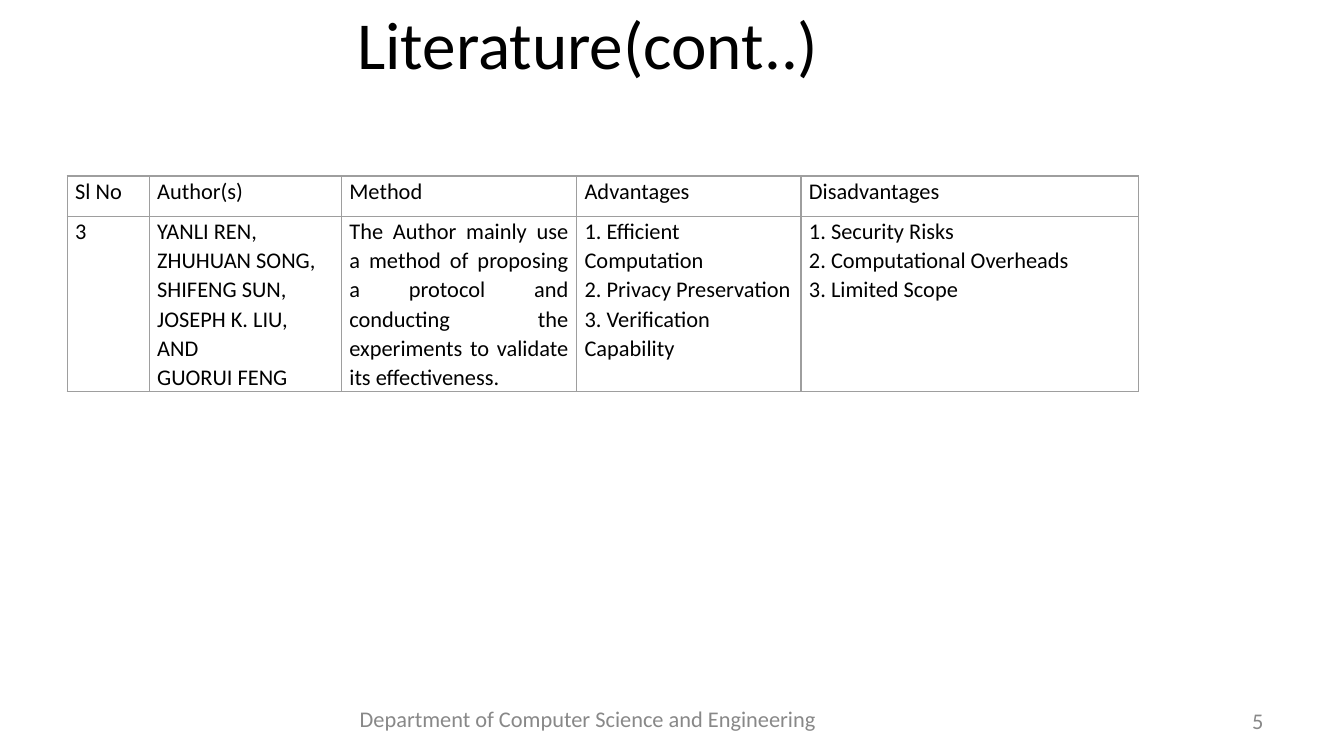
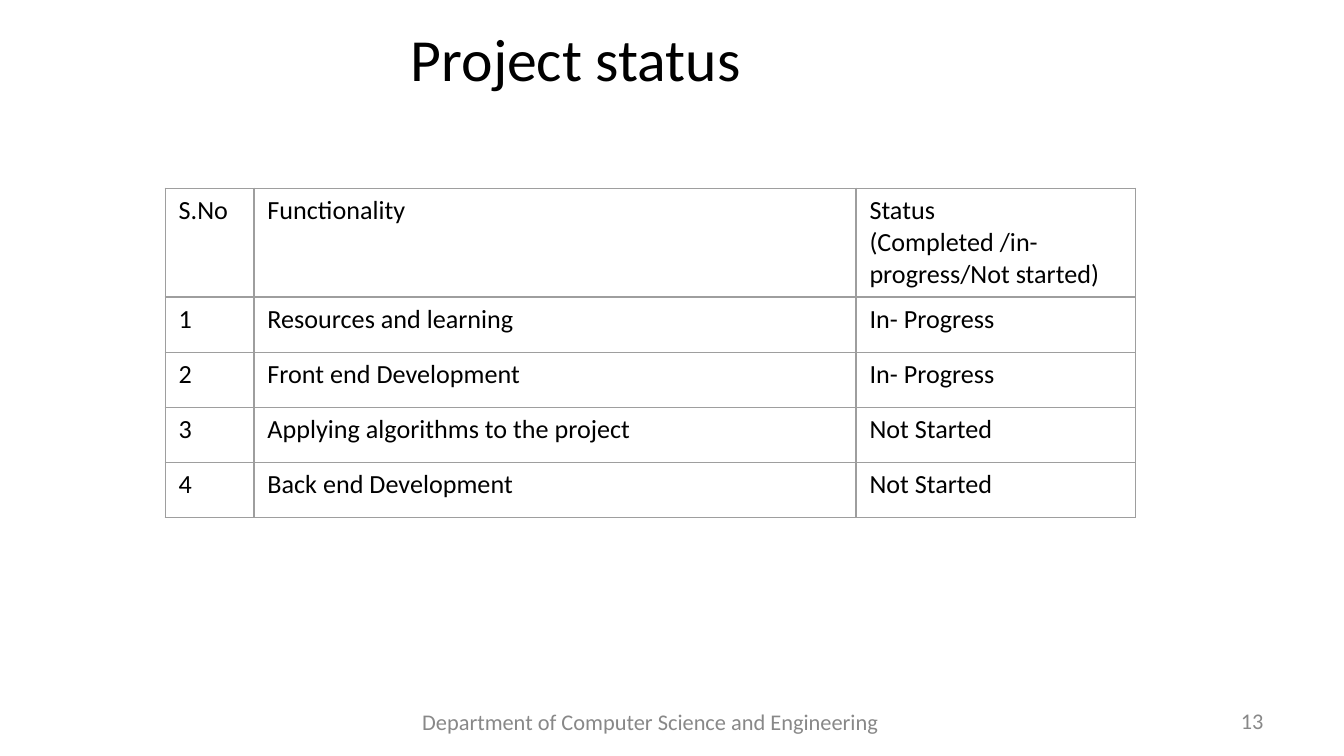
from lxml import etree
from pptx import Presentation
from pptx.dml.color import RGBColor
from pptx.enum import text
from pptx.oxml import ns
from pptx.util import Inches, Pt

FONT = "Calibri"
BLACK, GREY, BORDER = "000000", "888888", "9E9E9E"
LEFT, CENTER, RIGHT, JUSTIFY = (
    text.PP_ALIGN.LEFT, text.PP_ALIGN.CENTER, text.PP_ALIGN.RIGHT, text.PP_ALIGN.JUSTIFY)
FOOTER = "Department of Computer Science and Engineering"
NUMBER_BOX = (7.17, 5.21, 2.33, 0.3)

SLIDES = [
    {
        "title": "Literature(cont..)\v", "title_box": (1.03, 0.27, 6.69, 0.69), "title_size": 36,
        "footer_box": (2.53, 5.2, 3.69, 0.3), "number": "5",
        "table": {
            "at": (0.5, 1.31), "columns": [0.61, 1.43, 1.75, 1.67, 2.51], "rows": [0.3, 1.27],
            "size": 12, "margins": (0.06, 0), "spacing": 1.07, "justified": [2],
            "cells": [
                ["Sl No", "Author(s)", "Method", "Advantages", "Disadvantages"],
                [
                    "3",
                    "YANLI REN, ZHUHUAN SONG, SHIFENG SUN, JOSEPH K. LIU,\nAND\nGUORUI FENG",
                    "The Author mainly use a method of proposing a protocol and conducting "
                    "the experiments to validate its effectiveness.",
                    "1. Efficient Computation\n2. Privacy Preservation\v3. Verification Capability\v",
                    "1. Security Risks\v2. Computational Overheads\v3. Limited Scope",
                ],
            ],
        },
    },
    {
        "title": "Project status", "title_box": (0.94, 0.08, 6.69, 0.69), "title_size": 32,
        "footer_box": (3, 5.22, 3.68, 0.3), "number": "13",
        "table": {
            "at": (1.23, 1.4), "columns": [0.66, 4.48, 2.08], "rows": [0.78] + [0.41] * 4,
            "size": 14, "margins": (0.1, 0.05), "spacing": 1.0, "justified": [],
            "cells": [
                ["S.No", "Functionality", "Status\n(Completed /in-progress/Not started)"],
                ["1", "Resources and learning", "In- Progress"],
                ["2", "Front end Development", "In- Progress"],
                ["3", "Applying algorithms to the project", "Not Started"],
                ["4", "Back end Development", "Not Started"],
            ],
        },
    },
]


def color(value):
    return RGBColor.from_string(value)


def size_breaks(paragraph, size):
    breaks = paragraph._p.findall(ns.qn("a:br"))
    for line_break in breaks:
        etree.SubElement(line_break, ns.qn("a:rPr"), sz=str(size * 100))
    if breaks:
        etree.SubElement(paragraph._p, ns.qn("a:endParaRPr"), sz=str(size * 100))


def write(frame, content, size, fill, alignment, spacing=1.0):
    frame.text = content
    frame.word_wrap = True
    for paragraph in frame.paragraphs:
        paragraph.alignment = alignment
        paragraph.line_spacing = spacing
        size_breaks(paragraph, size)
        for run in paragraph.runs:
            run.font.name = FONT
            run.font.size = Pt(size)
            run.font.color.rgb = color(fill)


def add_label(slide, box, content, alignment):
    frame = slide.shapes.add_textbox(*map(Inches, box)).text_frame
    write(frame, content, 12, GREY, alignment)
    frame.vertical_anchor = text.MSO_ANCHOR.MIDDLE


def set_title(slide, content, box, size):
    title = slide.shapes.title
    title.left, title.top, title.width, title.height = map(Inches, box)
    write(title.text_frame, content, size, BLACK, CENTER)
    title.text_frame.auto_size = text.MSO_AUTO_SIZE.NONE
    title.text_frame.vertical_anchor = text.MSO_ANCHOR.MIDDLE


def add_borders(cell):
    properties = cell._tc.get_or_add_tcPr()
    for index, side in enumerate(("a:lnL", "a:lnR", "a:lnT", "a:lnB")):
        line = etree.Element(ns.qn(side), w=str(Pt(0.75)))
        fill = etree.SubElement(line, ns.qn("a:solidFill"))
        etree.SubElement(fill, ns.qn("a:srgbClr"), val=BORDER)
        properties.insert(index, line)


def add_table(slide, data):
    columns, rows = data["columns"], data["rows"]
    box = (*data["at"], sum(columns), sum(rows))
    table = slide.shapes.add_table(len(rows), len(columns), *map(Inches, box)).table
    table.first_row = table.horz_banding = False
    for column, width in zip(table.columns, columns):
        column.width = Inches(width)
    for row, height in zip(table.rows, rows):
        row.height = Inches(height)
    side, end = map(Inches, data["margins"])
    for row, contents in zip(table.rows, data["cells"]):
        for index, (cell, content) in enumerate(zip(row.cells, contents)):
            cell.margin_left = cell.margin_right = side
            cell.margin_top = cell.margin_bottom = end
            alignment = JUSTIFY if index in data["justified"] else LEFT
            write(cell.text_frame, content, data["size"], BLACK, alignment, data["spacing"])
            cell.fill.background()
            add_borders(cell)


def main():
    presentation = Presentation()
    presentation.slide_width = Inches(10)
    presentation.slide_height = presentation.slide_width * 9 // 16
    for data in SLIDES:
        slide = presentation.slides.add_slide(presentation.slide_layouts[5])
        set_title(slide, data["title"], data["title_box"], data["title_size"])
        add_table(slide, data["table"])
        add_label(slide, data["footer_box"], FOOTER, CENTER)
        add_label(slide, NUMBER_BOX, data["number"], RIGHT)
    presentation.save("out.pptx")


if __name__ == "__main__":
    main()
